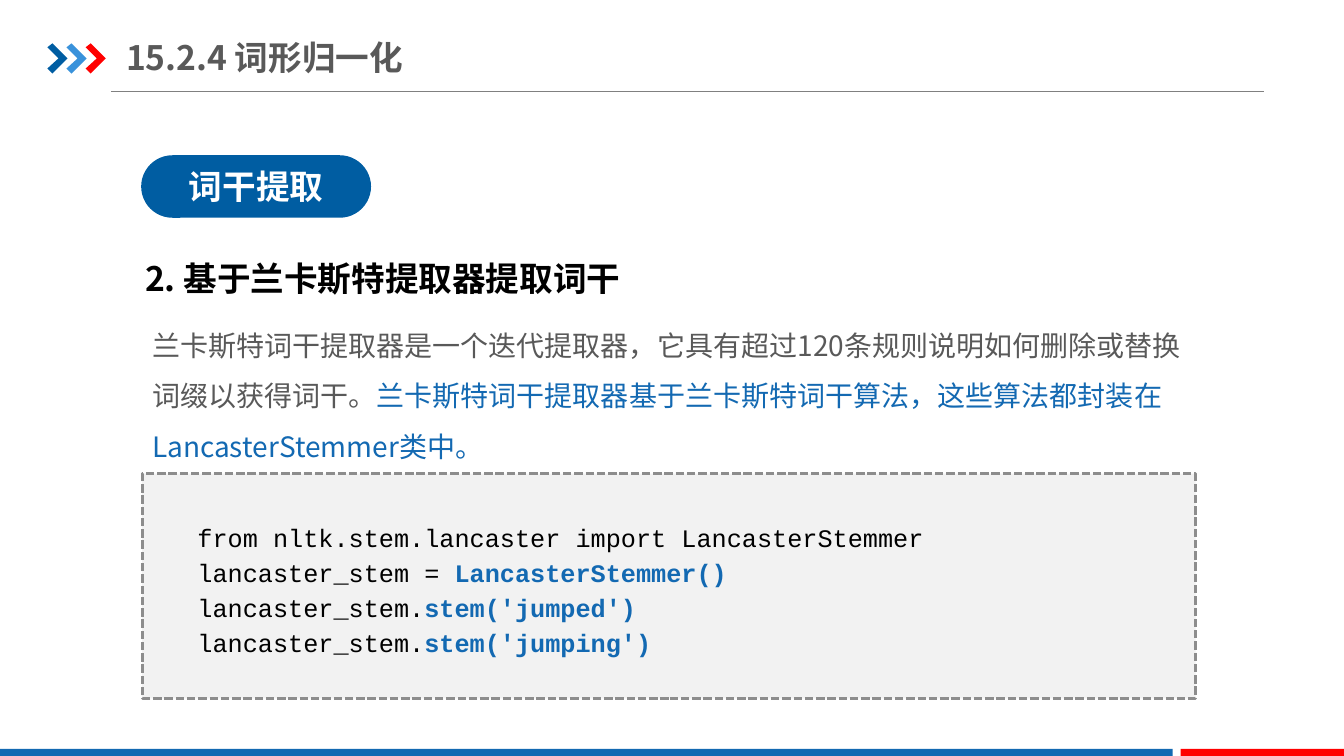
import pptx
import pptx.dml.color
import pptx.enum.dml
import pptx.enum.shapes
import pptx.enum.text
import pptx.oxml
import pptx.oxml.ns
import pptx.util

PX = 9144
SANS = "Noto Sans CJK SC"
MONO = "Courier New"
NAVY, BLUE, RED = "005DA2", "1369B2", "FF0000"
GREY, BLACK, WHITE = "595959", "000000", "FFFFFF"
MIDDLE = pptx.enum.text.MSO_ANCHOR.MIDDLE
PRESET = pptx.enum.shapes.MSO_SHAPE


def px(*lengths):
    return [pptx.util.Emu(length * PX) for length in lengths]


def paint(color_format, hex_color):
    color_format.rgb = pptx.dml.color.RGBColor.from_string(hex_color)


def fill_solid(shape, hex_color):
    shape.shadow.inherit = False
    shape.fill.solid()
    paint(shape.fill.fore_color, hex_color)
    shape.line.fill.background()


def add_block(slide, box, hex_color, preset=PRESET.RECTANGLE):
    block = slide.shapes.add_shape(preset, *px(*box))
    fill_solid(block, hex_color)
    return block


def add_chevron(slide, left, hex_color):
    outline = [(0, 47), (5, 43), (20, 58), (5, 73), (0, 68), (11, 58)]
    points = [(left + x, y) for x, y in outline]
    builder = slide.shapes.build_freeform(*points[0], scale=PX)
    builder.add_line_segments(points[1:], close=True)
    fill_solid(builder.convert_to_shape(), hex_color)


def add_rule(slide, start, end, hex_color, width):
    straight = pptx.enum.shapes.MSO_CONNECTOR.STRAIGHT
    rule = slide.shapes.add_connector(straight, *px(*start, *end))
    paint(rule.line.color, hex_color)
    rule.line.width = pptx.util.Pt(width)
    properties = rule._element.spPr
    properties.append(pptx.oxml.parse_xml(
        f"<a:effectLst {pptx.oxml.ns.nsdecls('a')}/>"))


def add_run(paragraph, text, size, hex_color, bold=False, font=SANS):
    run = paragraph.add_run()
    run.text = text
    run.font.size = pptx.util.Pt(size)
    run.font.bold = bold
    run.font.name = font
    paint(run.font.color, hex_color)
    latin = run.font._element.find(pptx.oxml.ns.qn("a:latin"))
    latin.addnext(pptx.oxml.parse_xml(
        f'<a:ea {pptx.oxml.ns.nsdecls("a")} typeface="{font}"/>'))


def add_text_frame(slide, box, wrap=True):
    frame = slide.shapes.add_textbox(*px(*box)).text_frame
    frame.word_wrap = wrap
    return frame


def add_code(slide, box, lines):
    frame = add_text_frame(slide, box)
    for number, (plain, strong) in enumerate(lines):
        line = frame.add_paragraph() if number else frame.paragraphs[0]
        line.line_spacing = 1.15
        properties = line._p.get_or_add_pPr()
        properties.set("marL", "0")
        properties.set("indent", str(29 * PX))
        add_run(line, plain, 18, BLACK, font=MONO)
        if strong:
            add_run(line, strong, 18, BLUE, True, MONO)


def add_header(slide):
    add_rule(slide, (110, 91), (1254, 91), "808080", 0.75)
    for position, hex_color in enumerate((NAVY, "3992DB", RED)):
        add_chevron(slide, 47 + 19 * position, hex_color)
    title = add_text_frame(slide, (125, 29, 488, 55))
    title.vertical_anchor = MIDDLE
    title.margin_left = title.margin_right = 0
    title.margin_top = title.margin_bottom = px(7)[0]
    add_run(title.paragraphs[0], "15.2.4 词形归一化", 24, GREY, True)


def add_footer(slide):
    add_block(slide, (0, 743, 1163, 7), BLUE)
    add_block(slide, (1171, 743, 162, 7), RED)


def add_badge(slide, box, text):
    badge = add_block(slide, box, NAVY, PRESET.ROUNDED_RECTANGLE)
    badge.adjustments[0] = 0.5
    badge.text_frame.vertical_anchor = MIDDLE
    label = badge.text_frame.paragraphs[0]
    label.alignment = pptx.enum.text.PP_ALIGN.CENTER
    add_run(label, text, 24, WHITE, True)


def add_code_panel(slide, box):
    panel = add_block(slide, box, "F2F2F2")
    paint(panel.line.color, "8D8D8D")
    panel.line.width = pptx.util.Pt(2)
    panel.line.dash_style = pptx.enum.dml.MSO_LINE.SQUARE_DOT


def main():
    deck = pptx.Presentation()
    deck.slide_width, deck.slide_height = px(1333, 750)
    slide = deck.slides.add_slide(deck.slide_layouts[6])

    add_header(slide)
    add_footer(slide)

    explanation = add_text_frame(slide, (141, 304, 1045, 155)).paragraphs[0]
    explanation.line_spacing = 1.5
    add_run(explanation, "兰卡斯特词干提取器是一个迭代提取器，它具有超过120条规则"
            "说明如何删除或替换词缀以获得词干。", 20, GREY)
    add_run(explanation, "兰卡斯特词干提取器基于兰卡斯特词干算法，这些算法都封装在"
            "LancasterStemmer类中。", 20, BLUE)

    add_code_panel(slide, (141, 470, 1045, 223))
    add_code(slide, (157, 509, 1014, 148), [
        ("from nltk.stem.lancaster import LancasterStemmer", ""),
        ("lancaster_stem = ", "LancasterStemmer()"),
        ("lancaster_stem.", "stem('jumped')"),
        ("lancaster_stem.", "stem('jumping')"),
    ])

    add_badge(slide, (140, 154, 228, 62), "词干提取")
    heading = add_text_frame(slide, (134, 251, 511, 50), wrap=False)
    add_run(heading.paragraphs[0], "2. 基于兰卡斯特提取器提取词干", 24, BLACK, True)

    deck.save("out.pptx")


if __name__ == "__main__":
    main()
